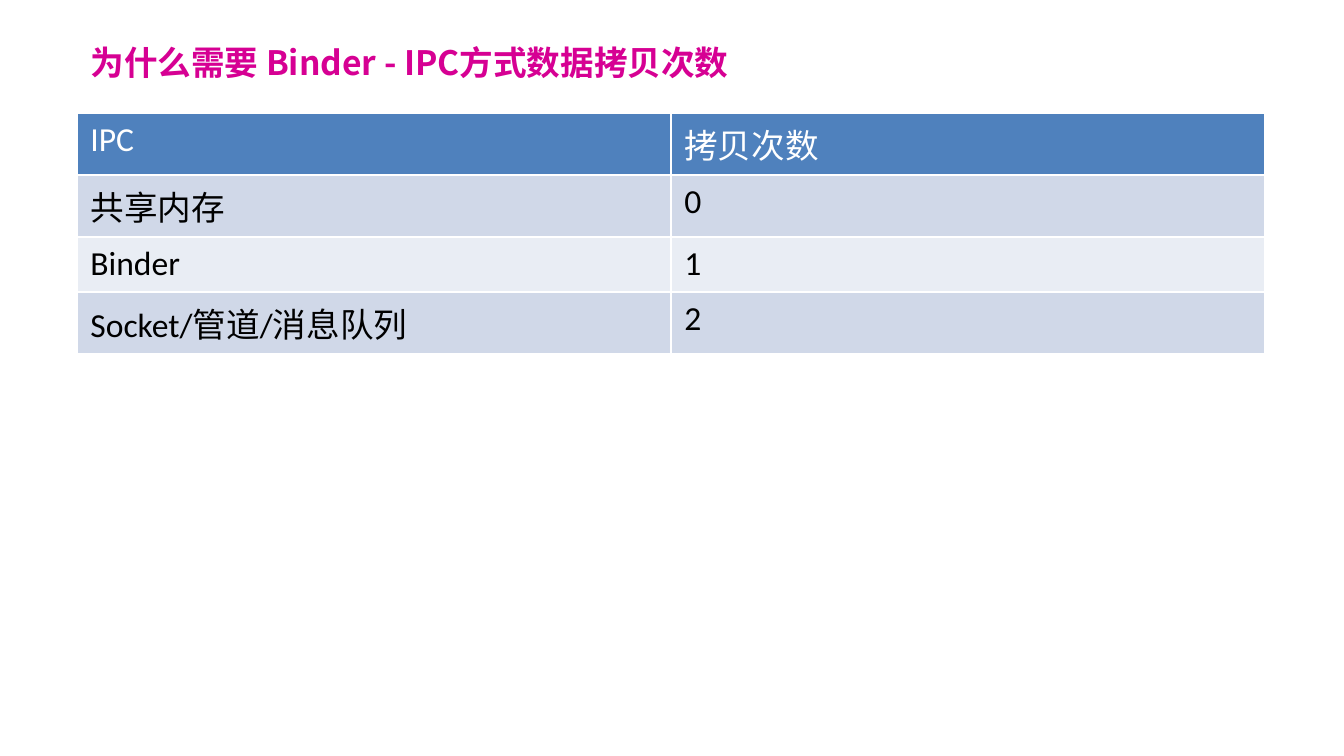
from lxml.etree import SubElement
from pptx import Presentation
from pptx.dml.color import RGBColor
from pptx.enum.text import MSO_ANCHOR, PP_ALIGN
from pptx.oxml.ns import qn
from pptx.util import Pt

EMU_PER_PX = 914400 / 134.4
COLORS = {
    "title": "D60093",
    "header": "4F81BD",
    "header_text": "FFFFFF",
    "text": "000000",
    "odd_row": "D0D8E8",
    "even_row": "E9EDF4",
}
CJK_FONT = "Noto Sans CJK SC"


def px(length):
    return round(length * EMU_PER_PX)


def add_text(paragraph, text, font_name, color, bold=False):
    run = paragraph.add_run()
    run.text = text
    run.font.name = font_name
    run.font.size = Pt(18)
    run.font.bold = bold
    run.font.color.rgb = RGBColor.from_string(COLORS[color])
    SubElement(run.font._element, qn("a:ea"), typeface=CJK_FONT)


presentation = Presentation()
presentation.slide_width, presentation.slide_height = px(1344), px(756)
slide = presentation.slides.add_slide(presentation.slide_layouts[5])

# Title
title = slide.shapes.title
title.left, title.top, title.width, title.height = px(77), px(31), px(1188), px(62)
title.text_frame.vertical_anchor = MSO_ANCHOR.MIDDLE
title_paragraph = title.text_frame.paragraphs[0]
title_paragraph.alignment = PP_ALIGN.LEFT
add_text(title_paragraph, "为什么需要 Binder - IPC方式数据拷贝次数", CJK_FONT, "title", bold=True)

# Copy counts per IPC method; the table style draws the white borders
rows = [
    ("IPC", "拷贝次数"),
    ("共享内存", "0"),
    ("Binder", "1"),
    ("Socket/管道/消息队列", "2"),
]
table = slide.shapes.add_table(
    len(rows), 2, px(77), px(113), px(1188), px(54 * len(rows))
).table
for row_index, row in enumerate(rows):
    if row_index == 0:
        fill, text_color = "header", "header_text"
    else:
        fill, text_color = ("odd_row" if row_index % 2 else "even_row"), "text"
    for column_index, text in enumerate(row):
        cell = table.cell(row_index, column_index)
        cell.fill.solid()
        cell.fill.fore_color.rgb = RGBColor.from_string(COLORS[fill])
        add_text(cell.text_frame.paragraphs[0], text, "Calibri", text_color)

presentation.save("out.pptx")
